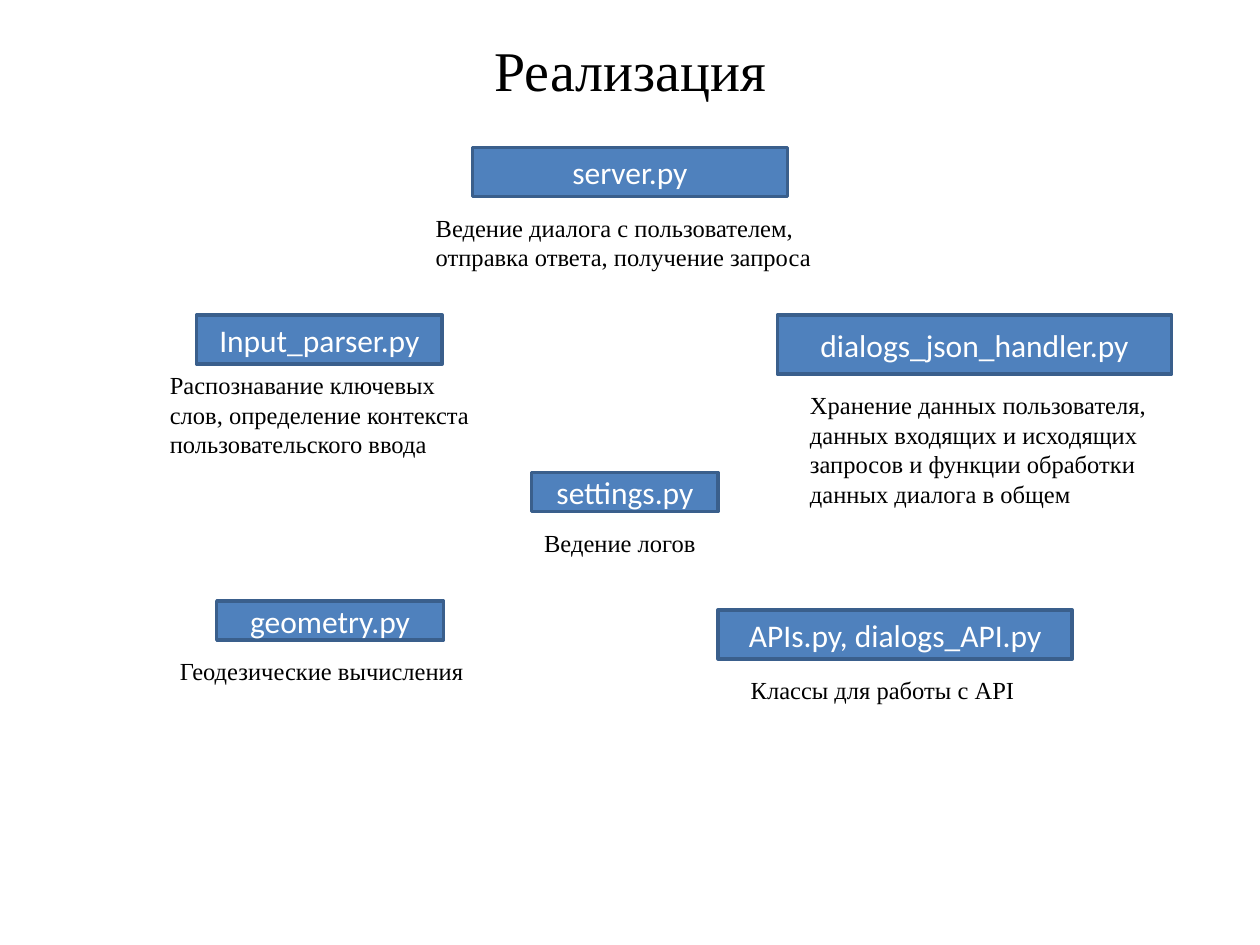
import pptx
import pptx.util
import pptx.dml.color
import pptx.enum.shapes
import pptx.enum.text
from pptx.util import Inches

COLORS = {"box": "4F81BD", "border": "3A5F8C", "label": "FFFFFF", "text": "000000"}
ALIGN = pptx.enum.text.PP_ALIGN
ANCHOR = pptx.enum.text.MSO_ANCHOR


def rgb(name):
    return pptx.dml.color.RGBColor.from_string(COLORS[name])


def write(shape, text, size=14, font="Times New Roman", color="text",
          align=ALIGN.LEFT, anchor=ANCHOR.TOP):
    frame = shape.text_frame
    frame.word_wrap = True
    frame.vertical_anchor = anchor
    frame.margin_left = frame.margin_right = Inches(0.1)
    frame.margin_top = frame.margin_bottom = Inches(0.05)
    paragraph = frame.paragraphs[0]
    paragraph.alignment = align
    run = paragraph.add_run()
    run.text = text
    run.font.size = pptx.util.Pt(size)
    run.font.name = font
    run.font.color.rgb = rgb(color)


deck = pptx.Presentation()
deck.slide_width, deck.slide_height = Inches(10), Inches(7.5)
slide = deck.slides.add_slide(deck.slide_layouts[5])

# Title
heading = slide.shapes.title
heading.left, heading.top = Inches(2.27), Inches(0.23)
heading.width, heading.height = Inches(5.47), Inches(0.64)
write(heading, "Реализация", size=32, align=ALIGN.CENTER)

# Modules: file name and its box, then description and its box
modules = [
    ("server.py", (3.75, 1.17, 2.5, 0.39),
     "Ведение диалога с пользователем, отправка ответа, получение запроса",
     (3.36, 1.64, 3.36, 0.57)),
    ("Input_parser.py", (1.56, 2.5, 1.95, 0.39),
     "Распознавание ключевых слов, определение контекста пользовательского ввода",
     (1.25, 2.89, 2.66, 0.81)),
    ("dialogs_json_handler.py", (6.17, 2.5, 3.13, 0.47),
     "Хранение данных пользователя, данных входящих и исходящих запросов "
     "и функции обработки данных диалога в общем",
     (6.33, 3.05, 3.44, 1.04)),
    ("settings.py", (4.22, 3.75, 1.48, 0.31),
     "Ведение логов", (4.22, 4.14, 1.72, 0.34)),
    ("geometry.py", (1.72, 4.77, 1.8, 0.31),
     "Геодезические вычисления", (1.33, 5.16, 2.58, 0.34)),
    ("APIs.py, dialogs_API.py", (5.7, 4.84, 2.81, 0.39),
     "Классы для работы с API", (5.86, 5.31, 2.5, 0.34)),
]

for file_name, file_box, purpose, purpose_box in modules:
    module = slide.shapes.add_shape(
        pptx.enum.shapes.MSO_SHAPE.RECTANGLE, *map(Inches, file_box))
    module.shadow.inherit = False
    module.fill.solid()
    module.fill.fore_color.rgb = rgb("box")
    module.line.color.rgb = rgb("border")
    module.line.width = pptx.util.Pt(2)
    write(module, file_name, size=18, font="Calibri", color="label",
          align=ALIGN.CENTER, anchor=ANCHOR.MIDDLE)

    description = slide.shapes.add_textbox(*map(Inches, purpose_box))
    write(description, purpose)

deck.save("out.pptx")
